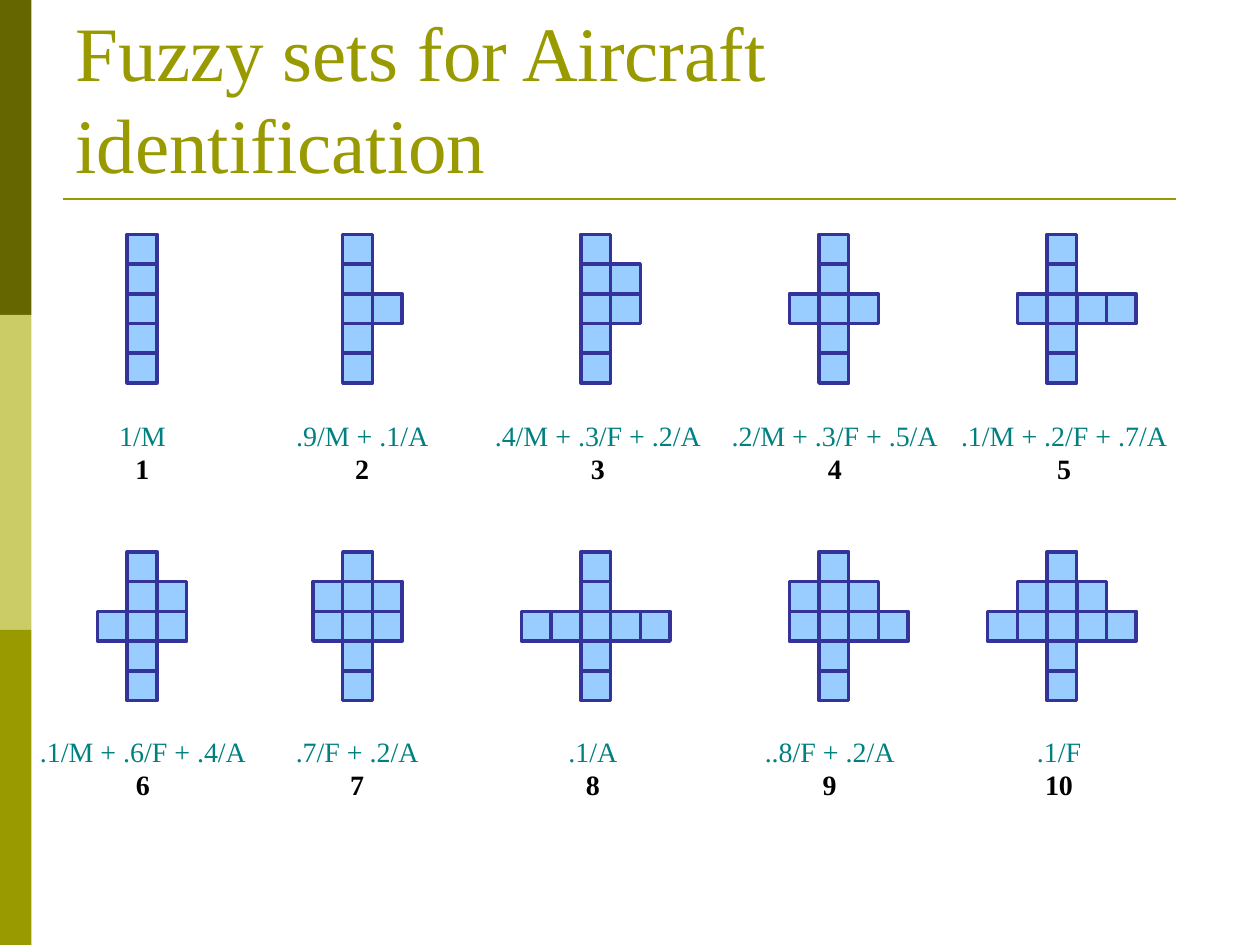
from lxml.etree import SubElement
from pptx import Presentation
from pptx.dml.color import RGBColor
from pptx.enum.shapes import MSO_CONNECTOR, MSO_SHAPE
from pptx.enum.text import MSO_ANCHOR, PP_ALIGN
from pptx.oxml.ns import qn
from pptx.util import Inches, Pt

DARK_OLIVE = RGBColor(0x66, 0x66, 0x00)
PALE_OLIVE = RGBColor(0xCC, 0xCC, 0x66)
OLIVE = RGBColor(0x99, 0x99, 0x00)
SKY = RGBColor(0x99, 0xCC, 0xFF)
INDIGO = RGBColor(0x33, 0x33, 0x99)
TEAL = RGBColor(0x00, 0x80, 0x80)
BLACK = RGBColor(0x00, 0x00, 0x00)
FONT = "Times New Roman"

BODY_ROWS = 5
CELL = 1.18 / BODY_ROWS
BODY_LEFTS = (1.01, 2.72, 4.61, 6.5, 8.31)
NO_WING = (0, 0)

# label, label left, label width, (left, right) cells of upper wing, of main wing
ROWS = (
    (1.86, 3.27, (
        ("1/M", 0.54, 1.18, NO_WING, NO_WING),
        (".9/M + .1/A", 2.09, 1.57, NO_WING, (0, 1)),
        (".4/M + .3/F + .2/A", 3.62, 2.25, (0, 1), (0, 1)),
        (".2/M + .3/F + .5/A", 5.5, 2.25, NO_WING, (1, 1)),
        (".1/M + .2/F + .7/A", 7.32, 2.25, NO_WING, (1, 2)),
    )),
    (4.38, 5.78, (
        (".1/M + .6/F + .4/A", 0.17, 1.93, (0, 1), (1, 1)),
        (".7/F + .2/A", 2.05, 1.57, (1, 1), (1, 1)),
        (".1/A", 3.58, 2.25, NO_WING, (2, 2)),
        ("..8/F + .2/A", 5.46, 2.25, (1, 1), (1, 2)),
        (".1/F", 7.28, 2.25, (1, 1), (2, 2)),
    )),
)


def add_rect(slide, left, top, width, height, fill, line=None):
    s = slide.shapes.add_shape(MSO_SHAPE.RECTANGLE, Inches(left), Inches(top),
                               Inches(width), Inches(height))
    s.shadow.inherit = False
    s.fill.solid()
    s.fill.fore_color.rgb = fill
    if line is None:
        s.line.fill.background()
    else:
        s.line.color.rgb = line
        s.line.width = Pt(2)


def add_text(slide, left, top, width, height, lines, size, align, anchor):
    s = slide.shapes.add_textbox(Inches(left), Inches(top), Inches(width), Inches(height))
    tf = s.text_frame
    tf.word_wrap = True
    tf.vertical_anchor = anchor
    for i, (text, color, bold) in enumerate(lines):
        p = tf.add_paragraph() if i else tf.paragraphs[0]
        p.alignment = align
        r = p.add_run()
        r.text = text
        r.font.name = FONT
        r.font.size = Pt(size)
        r.font.bold = bold
        r.font.color.rgb = color


def add_sidebar(slide, left, top, width, height):
    colors = (DARK_OLIVE, PALE_OLIVE, OLIVE)
    band = height / len(colors)
    for i, color in enumerate(colors):
        add_rect(slide, left, top + i * band, width, band, color)


def add_title(slide, left, top, width, height):
    rule_y = Inches(1.58)
    rule = slide.shapes.add_connector(MSO_CONNECTOR.STRAIGHT, Inches(left), rule_y,
                                      Inches(9.33), rule_y)
    rule.line.color.rgb = OLIVE
    rule.line.width = Pt(1.5)
    SubElement(rule._element.spPr, qn("a:effectLst"))
    add_text(slide, left, top, width, height,
             [("Fuzzy sets for Aircraft identification", OLIVE, False)],
             44, PP_ALIGN.LEFT, MSO_ANCHOR.BOTTOM)


def add_aircraft(slide, left, top, upper_wing, main_wing):
    wings = {1: upper_wing, 2: main_wing}
    for row in range(BODY_ROWS):
        before, after = wings.get(row, NO_WING)
        for col in range(-before, after + 1):
            add_rect(slide, left + col * CELL, top + row * CELL, CELL, CELL, SKY, INDIGO)


def add_label(slide, left, top, width, height, fuzzy_set, number):
    add_text(slide, left, top, width, height,
             [(fuzzy_set, TEAL, False), (str(number), BLACK, True)],
             16, PP_ALIGN.CENTER, MSO_ANCHOR.TOP)


def main():
    prs = Presentation()
    prs.slide_width, prs.slide_height = Inches(10), Inches(7.5)
    slide = prs.slides.add_slide(prs.slide_layouts[6])
    add_sidebar(slide, 0, 0, 0.25, 7.5)
    add_title(slide, 0.5, 0.3, 9, 1.25)
    number = 1
    for body_top, label_top, aircraft in ROWS:
        for body_left, (fuzzy_set, left, width, upper, wing) in zip(BODY_LEFTS, aircraft):
            add_aircraft(slide, body_left, body_top, upper, wing)
            add_label(slide, left, label_top, width, 0.64, fuzzy_set, number)
            number += 1
    prs.save("out.pptx")


if __name__ == "__main__":
    main()
